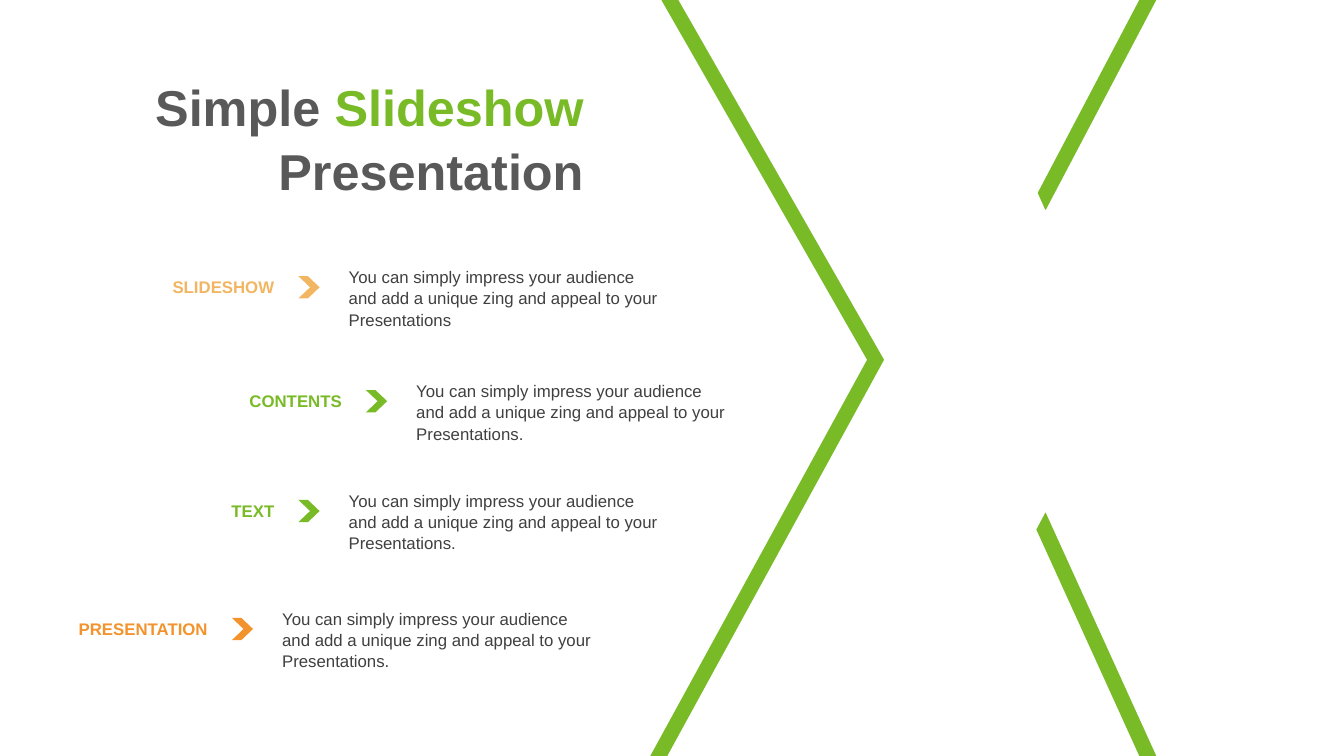
"""Build a contents slide with four labelled rows beside a large X-shaped outline."""
from pptx import Presentation
from pptx.enum.shapes import MSO_SHAPE
from pptx.enum.text import MSO_ANCHOR, MSO_AUTO_SIZE, PP_ALIGN
from pptx.dml.color import RGBColor
from pptx.util import Pt

PX = 9144
GREEN, ORANGE, SAND = "79BA27", "F3932D", "F2B662"
GREY, DARK, WHITE = "595959", "404040", "FFFFFF"


def paint(fill, color):
    fill.solid()
    fill.fore_color.rgb = RGBColor.from_string(color)


def write(box, *parts, size=12, bold=False, align=PP_ALIGN.LEFT):
    frame = box.text_frame
    frame.word_wrap = True
    frame.auto_size = MSO_AUTO_SIZE.NONE
    frame.vertical_anchor = MSO_ANCHOR.TOP
    para = frame.paragraphs[0]
    para.alignment = align
    para.line_spacing = 1.05
    for text, color in parts:
        span = para.add_run()
        span.text = text
        span.font.name = "Arial"
        span.font.size = Pt(size)
        span.font.bold = bold
        paint(span.font.fill, color)


deck = Presentation()
deck.slide_width, deck.slide_height = 1333 * PX, 750 * PX
page = deck.slides.add_slide(deck.slide_layouts[5])
paint(page.background.fill, WHITE)

outline = [(656, 0), (926, 0), (1020, 209), (1130, 0), (1299, 0), (1299, 144), (1178, 357),
           (1299, 576), (1299, 750), (1130, 750), (1020, 508), (891, 750), (645, 750), (860, 357)]
for shift, color in [(0, GREEN), (17, WHITE)]:
    points = [(x + shift, y) for x, y in outline]
    builder = page.shapes.build_freeform(*points[0], scale=PX)
    builder.add_line_segments(points[1:], close=True)
    cross = builder.convert_to_shape()
    cross.shadow.inherit = False
    paint(cross.fill, color)
    cross.line.fill.background()

sentence = "You can simply impress your audience and add a unique zing and appeal to your Presentations"
rows = [
    ("SLIDESHOW", sentence, SAND, 116, 269),
    ("CONTENTS", sentence + ".", GREEN, 183, 382),
    ("PRESENTATION", sentence + ".", ORANGE, 50, 608),
    ("TEXT", sentence + ".", GREEN, 116, 491),
]
for name, description, color, left, top in rows:
    row = page.shapes.add_group_shape().shapes
    label = row.add_textbox(left * PX, top * PX, 166 * PX, 31 * PX)
    write(label, (name, color), bold=True, align=PP_ALIGN.RIGHT)
    body = row.add_textbox((left + 220) * PX, (top - 10) * PX, 329 * PX, 71 * PX)
    write(body, (description, DARK))
    chevron = row.add_shape(MSO_SHAPE.CHEVRON, (left + 180) * PX, (top + 5) * PX, 21 * PX, 22 * PX)
    chevron.adjustments[0] = 0.55
    chevron.shadow.inherit = False
    paint(chevron.fill, color)
    chevron.line.fill.background()

title = page.shapes.title
title.left, title.top, title.width, title.height = 59 * PX, 68 * PX, 530 * PX, 131 * PX
write(title, ("Simple ", GREY), ("Slideshow ", GREEN), ("Presentation", GREY),
      size=36, bold=True, align=PP_ALIGN.RIGHT)

deck.save("out.pptx")
